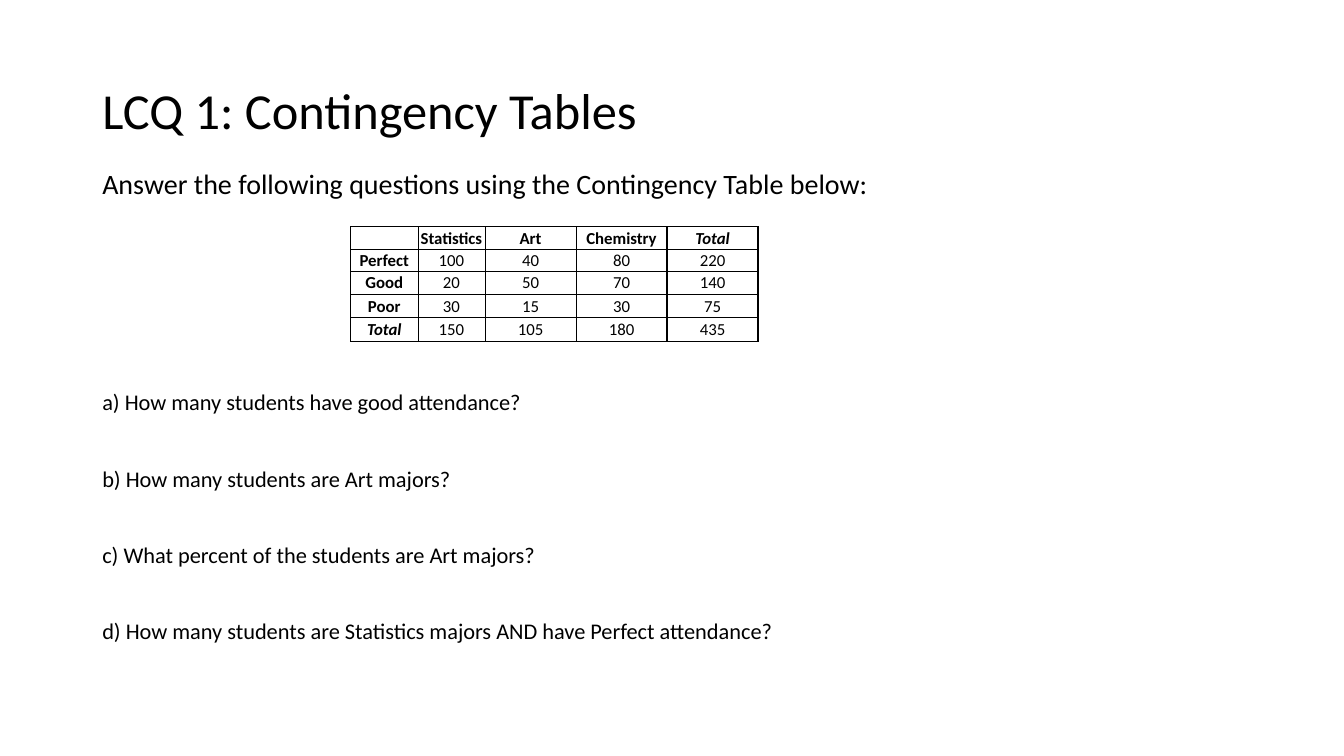
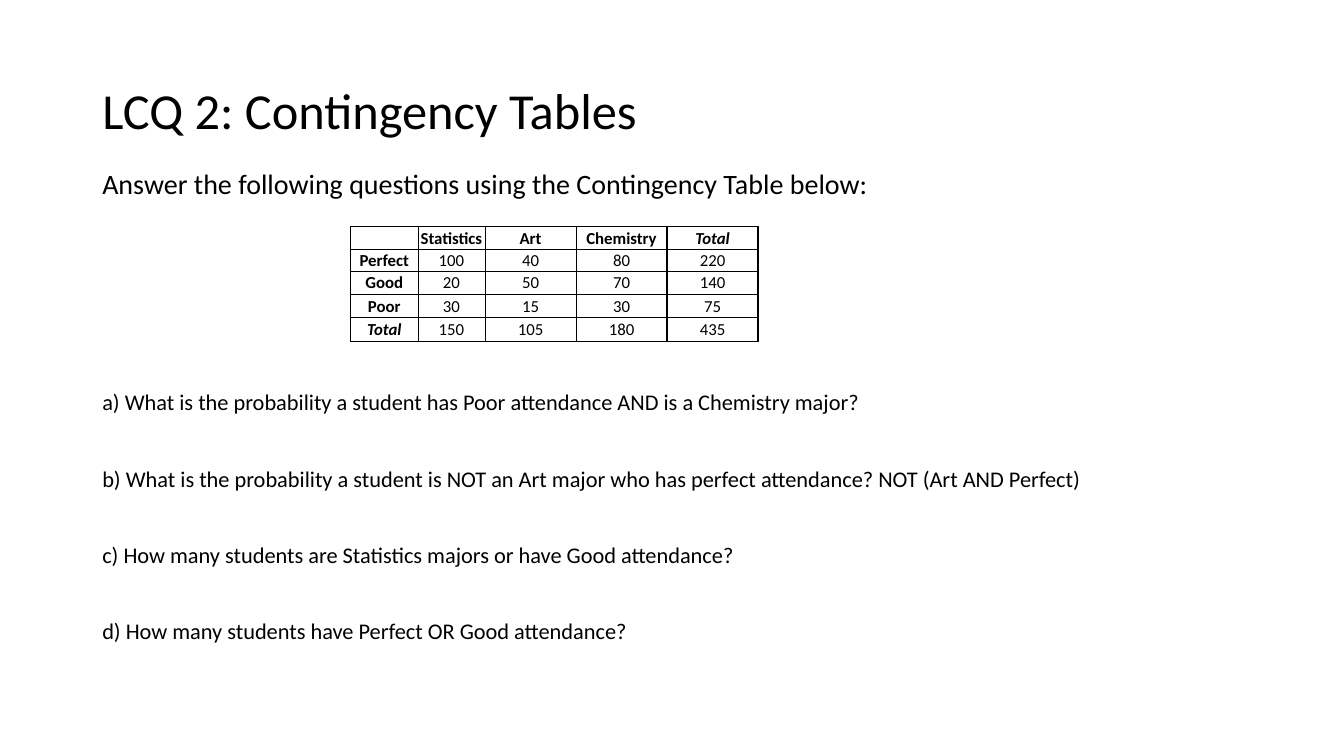
from lxml.etree import SubElement
from pptx import Presentation
from pptx.dml.color import RGBColor
from pptx.enum.text import MSO_ANCHOR, PP_ALIGN
from pptx.oxml.ns import qn
from pptx.util import Pt

FONT = "Calibri"
BLACK = "000000"
LEFT, WIDTH = 66, 828
LINE_SPACING = 0.9
TABLE_SPACE = 136.5
ANSWER_SPACE = 37.2

COLUMN_WIDTHS = [48, 48, 65, 65, 65]
ROW_HEIGHTS = [16, 16, 16, 17, 17]
THICK_RULES = (0, 4, 5)
ATTENDANCE = [
    ["", "Statistics", "Art", "Chemistry", "Total"],
    ["Perfect", "100", "40", "80", "220"],
    ["Good", "20", "50", "70", "140"],
    ["Poor", "30", "15", "30", "75"],
    ["Total", "150", "105", "180", "435"],
]

INTRO = "Answer the following questions using the Contingency Table below:"
QUIZZES = [
    ("LCQ 1: Contingency Tables", [
        "a) How many students have good attendance?",
        "b) How many students are Art majors?",
        "c) What percent of the students are Art majors?",
        "d) How many students are Statistics majors AND have Perfect attendance?",
    ]),
    ("LCQ 2: Contingency Tables", [
        "a) What is the probability a student has Poor attendance AND is a Chemistry major?",
        "b) What is the probability a student is NOT an Art major who has perfect attendance? "
        "NOT (Art AND Perfect)",
        "c) How many students are Statistics majors or have Good attendance?",
        "d) How many students have Perfect OR Good attendance?",
    ]),
]


def color(value):
    return RGBColor.from_string(value)


def style_font(font, size, bold=False, italic=False):
    font.name = FONT
    font.size = Pt(size)
    font.bold = bold
    font.italic = italic
    font.color.rgb = color(BLACK)


def add_text(page, top, height, lines, anchor=MSO_ANCHOR.TOP):
    """Add a full-width box; each line is (text, size, space before)."""
    box = page.shapes.add_textbox(Pt(LEFT), Pt(top), Pt(WIDTH), Pt(height))
    frame = box.text_frame
    frame.word_wrap = True
    frame.vertical_anchor = anchor
    for index, (text, size, space) in enumerate(lines):
        para = frame.add_paragraph() if index else frame.paragraphs[0]
        para.text = text
        para.line_spacing = LINE_SPACING
        para.space_before = Pt(space)
        style_font(para.font, size)


def add_border(cell, side, width):
    properties = cell._tc.get_or_add_tcPr()
    line = SubElement(properties, qn(f"a:ln{side}"), w=str(Pt(width)))
    fill = SubElement(line, qn("a:solidFill"))
    SubElement(fill, qn("a:srgbClr"), val=BLACK)


def fill_cell(cell, text, row, column):
    cell.margin_left = cell.margin_top = cell.margin_right = Pt(0.75)
    cell.margin_bottom = 0
    cell.vertical_anchor = MSO_ANCHOR.MIDDLE
    rules = {"L": column, "R": column + 1, "T": row, "B": row + 1}
    for side, rule in rules.items():
        add_border(cell, side, 1 if rule in THICK_RULES else 0.5)
    cell.fill.background()

    para = cell.text_frame.paragraphs[0]
    para.alignment = PP_ALIGN.CENTER
    style_font(para.font, 12, bold=row == 0 or column == 0, italic=text == "Total")
    if text:
        para.text = text
    else:
        # An empty cell takes its height from the paragraph's end mark.
        SubElement(para._p, qn("a:endParaRPr"), sz="1200")


def add_attendance_table(page):
    frame = page.shapes.add_table(
        len(ROW_HEIGHTS), len(COLUMN_WIDTHS), Pt(250.5), Pt(162),
        Pt(sum(COLUMN_WIDTHS)), Pt(sum(ROW_HEIGHTS)))
    table = frame.table
    table.first_row = table.horz_banding = False
    for column, width in zip(table.columns, COLUMN_WIDTHS):
        column.width = Pt(width)
    for row, height in zip(table.rows, ROW_HEIGHTS):
        row.height = Pt(height)
    for row, texts in enumerate(ATTENDANCE):
        for column, text in enumerate(texts):
            fill_cell(table.cell(row, column), text, row, column)


def add_quiz(deck, title, questions):
    page = deck.slides.add_slide(deck.slide_layouts[6])
    add_text(page, 28.8, 104.4, [(title, 36, 0)], MSO_ANCHOR.MIDDLE)
    lines = [(INTRO, 20, 0)]
    for index, question in enumerate(questions):
        lines.append((question, 16, ANSWER_SPACE if index else TABLE_SPACE))
    add_text(page, 118, 422, lines)
    add_attendance_table(page)


def main():
    deck = Presentation()
    deck.slide_width, deck.slide_height = Pt(960), Pt(540)
    for title, questions in QUIZZES:
        add_quiz(deck, title, questions)
    deck.save("out.pptx")


if __name__ == "__main__":
    main()
